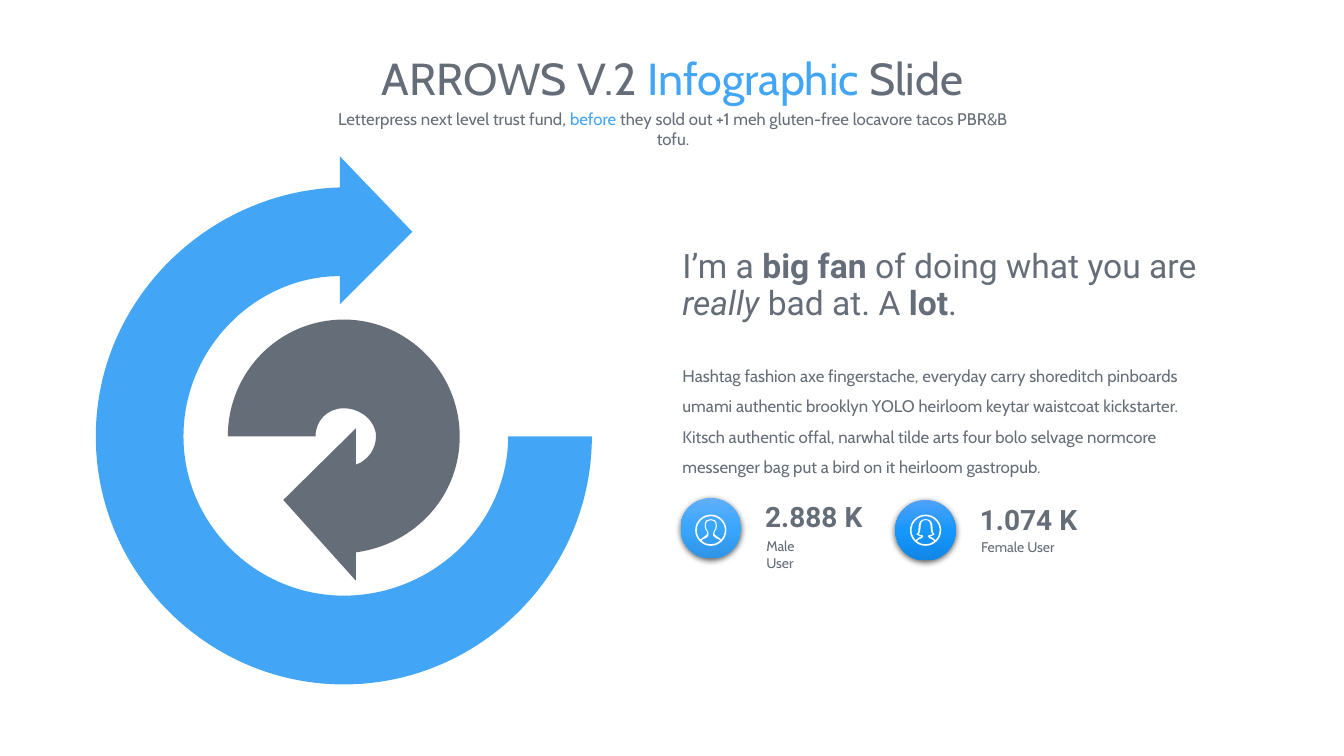
import dataclasses
import math
import typing

import pptx
import pptx.dml.color
import pptx.enum.shapes
import pptx.enum.text
import pptx.oxml
import pptx.oxml.ns
import pptx.util

Inches = pptx.util.Inches
qn = pptx.oxml.ns.qn
NS = pptx.oxml.ns.nsdecls("a")
BLUE = pptx.dml.color.RGBColor(0x42, 0xA5, 0xF5)
GRAY = pptx.dml.color.RGBColor(0x65, 0x6D, 0x78)
WHITE = pptx.dml.color.RGBColor(0xFF, 0xFF, 0xFF)
LEFT, CENTER = pptx.enum.text.PP_ALIGN.LEFT, pptx.enum.text.PP_ALIGN.CENTER
BADGE_SIZE, ICON_SIZE, ICON_HOLE_RADIUS = 0.6, 0.31, 0.14

# A contour lists points (two numbers) and Bezier curves (six numbers).
Contour = list[tuple[float, ...]]
Box = tuple[float, float, float, float]


@dataclasses.dataclass
class Run:
    text: str
    color: pptx.dml.color.RGBColor = GRAY
    bold: bool = False
    italic: bool = False


@dataclasses.dataclass
class TextBlock:
    box: Box
    runs: list[Run]
    font: str
    size: float
    align: typing.Any = LEFT
    line_spacing: float = 1.0
    inset: tuple[float, float] = (0.1, 0.05)


@dataclasses.dataclass
class UserStat:
    """A badge with a figure; the outlines are right halves around the icon centre."""
    badge: tuple[float, float]
    icon_center: tuple[float, float]
    gradient: tuple[str, str, str]
    value: str
    value_box: Box
    label: str
    label_box: Box
    outer_outline: Contour
    inner_outline: Contour


def arc(radius: float, start: float, end: float) -> Contour:
    """Give a circular arc as its first point and four curves."""
    step = (end - start) / 4
    handle = 4 / 3 * math.tan(step / 4)
    contour: Contour = [(radius * math.cos(start), radius * math.sin(start))]
    for index in range(4):
        a, b = start + index * step, start + (index + 1) * step
        contour.append((radius * (math.cos(a) - handle * math.sin(a)),
                        radius * (math.sin(a) + handle * math.cos(a)),
                        radius * (math.cos(b) + handle * math.sin(b)),
                        radius * (math.sin(b) - handle * math.cos(b)),
                        radius * math.cos(b), radius * math.sin(b)))
    return contour


def mirrored(half: Contour) -> tuple[Contour, float]:
    """Complete a right half on the left; also give the angle of its base."""
    whole = list(half)
    for index in range(len(half) - 1, 0, -1):
        x1, y1, x2, y2 = half[index][:4]
        x, y = half[index - 1][-2:]
        whole.append((-x2, y2, -x1, y1, -x, y))
    return whole, math.atan2(half[0][1], half[0][0])


def draw_outline(shapes, contours: list[Contour], color, origin=(0.0, 0.0)) -> None:
    placed = [[tuple(Inches(origin[i % 2] + value) for i, value in enumerate(segment))
               for segment in contour] for contour in contours]
    builder = shapes.build_freeform(*placed[0][0])
    for index, contour in enumerate(placed):
        if index:
            builder.move_to(*contour[0])
        builder.add_line_segments([segment[-2:] for segment in contour[1:]], close=True)
    outline = builder.convert_to_shape()
    segments = [segment for contour in placed for segment in contour[1:]]
    for line, segment in zip(list(outline._element.iter(qn("a:lnTo"))), segments):
        if len(segment) == 6:
            points = "".join(f'<a:pt x="{x - outline.left}" y="{y - outline.top}"/>'
                             for x, y in zip(segment[::2], segment[1::2]))
            line.getparent().replace(line, pptx.oxml.parse_xml(
                f"<a:cubicBezTo {NS}>{points}</a:cubicBezTo>"))
    outline.shadow.inherit = False
    outline.fill.solid()
    outline.fill.fore_color.rgb = color
    outline.line.fill.background()


def draw_text(shapes, block: TextBlock) -> None:
    frame = shapes.add_textbox(*map(Inches, block.box)).text_frame
    side, end = map(Inches, block.inset)
    frame_format = {"word_wrap": True, "margin_left": side, "margin_right": side,
                    "margin_top": end, "margin_bottom": end,
                    "auto_size": pptx.enum.text.MSO_AUTO_SIZE.SHAPE_TO_FIT_TEXT}
    for name, value in frame_format.items():
        setattr(frame, name, value)
    paragraph = frame.paragraphs[0]
    paragraph.alignment = block.align
    paragraph.line_spacing = block.line_spacing
    for part in block.runs:
        run = paragraph.add_run()
        run.text = part.text
        run_format = {"name": block.font, "size": pptx.util.Pt(block.size),
                      "bold": part.bold, "italic": part.italic}
        for name, value in run_format.items():
            setattr(run.font, name, value)
        run.font.color.rgb = part.color


def draw_badge(shapes, stat: UserStat) -> None:
    badge = shapes.add_shape(pptx.enum.shapes.MSO_SHAPE.OVAL, *map(Inches, stat.badge),
                             Inches(BADGE_SIZE), Inches(BADGE_SIZE))
    badge.line.fill.background()
    badge.shadow.inherit = False
    stops = "".join(f'<a:gs pos="{i * 50000}"><a:srgbClr val="{color}"/></a:gs>'
                    for i, color in enumerate(stat.gradient))
    properties = badge._element.spPr
    properties.find(qn("a:ln")).addprevious(pptx.oxml.parse_xml(
        f'<a:gradFill {NS}><a:gsLst>{stops}</a:gsLst><a:lin ang="5400000"/></a:gradFill>'))
    properties.find(qn("a:effectLst")).append(pptx.oxml.parse_xml(
        f'<a:outerShdw {NS} blurRad="{pptx.util.Pt(4.5)}" dist="{pptx.util.Pt(1.5)}" '
        'dir="5400000" rotWithShape="0"><a:srgbClr val="000000">'
        '<a:alpha val="63000"/></a:srgbClr></a:outerShdw>'))


def draw_stat(slide, stat: UserStat) -> None:
    shapes = slide.shapes.add_group_shape().shapes
    draw_badge(shapes, stat)
    draw_text(shapes, TextBlock(stat.value_box, [Run(stat.value, bold=True)], "Roboto", 20))
    draw_text(shapes, TextBlock(stat.label_box, [Run(stat.label)], "Cabin", 10, inset=(0, 0)))
    backdrop, base = mirrored(stat.outer_outline)
    backdrop += arc(ICON_HOLE_RADIUS, math.pi - base, 2 * math.pi + base)
    person, base = mirrored(stat.inner_outline)
    person += arc(ICON_HOLE_RADIUS, math.pi - base, base)
    rim = arc(ICON_SIZE / 2, 0, 2 * math.pi)
    draw_outline(shapes, [backdrop, person, rim], WHITE, stat.icon_center)


OUTER_ARROW = [(5.04, 4.33), (5.04, 5.2, 4.29, 5.91, 3.41, 5.91),
               (2.54, 5.91, 1.82, 5.2, 1.82, 4.33), (1.82, 3.45, 2.54, 2.74, 3.37, 2.74),
               (3.37, 3.02), (4.09, 2.3), (3.37, 1.55), (3.37, 1.86),
               (2.06, 1.9, 0.95, 2.98, 0.95, 4.33), (0.95, 5.68, 2.06, 6.79, 3.41, 6.79),
               (4.76, 6.79, 5.87, 5.68, 5.87, 4.33)]
INNER_ARROW = [(4.56, 4.33), (4.56, 3.69, 4.04, 3.17, 3.41, 3.17),
               (2.77, 3.17, 2.26, 3.69, 2.26, 4.33), (3.13, 4.33),
               (3.13, 4.17, 3.25, 4.05, 3.41, 4.05), (3.57, 4.05, 3.73, 4.17, 3.73, 4.33),
               (3.73, 4.45, 3.65, 4.57, 3.53, 4.61), (3.53, 4.25), (2.81, 4.96),
               (3.53, 5.76), (3.53, 5.48), (4.12, 5.4, 4.56, 4.92, 4.56, 4.33)]

HEADINGS = [
    TextBlock((2.54, 0.45, 8.26, 0.64),
              [Run("ARROWS V.2 "), Run("Infographic ", BLUE), Run("Slide")],
              "Cabin", 32, CENTER),
    TextBlock((3.2, 1.03, 6.95, 0.3),
              [Run("Letterpress next level trust fund, "), Run("before", BLUE),
               Run(" they sold out +1 meh gluten-free locavore tacos PBR&B tofu.")],
              "Cabin", 12, CENTER),
]
STORY = [
    TextBlock((6.67, 2.43, 5.46, 0.83),
              [Run("I’m a "), Run("big fan ", bold=True), Run("of doing what you are "),
               Run("really", italic=True), Run(" bad at. A "), Run("lot", bold=True), Run(".")],
              "Roboto", 24, line_spacing=0.9),
    TextBlock((6.67, 3.48, 5.32, 1.31),
              [Run("Hashtag fashion axe fingerstache, everyday carry shoreditch pinboards "
                   "umami authentic brooklyn YOLO heirloom keytar waistcoat kickstarter. "
                   "Kitsch authentic offal, narwhal tilde arts four bolo selvage normcore "
                   "messenger bag put a bird on it heirloom gastropub.")],
              "Cabin", 12, line_spacing=1.5),
]
STATS = [
    UserStat((6.75, 4.94), (7.05, 5.26), ("60AFF8", "39A6FE", "2F94E5"),
             "2.888 K", (7.49, 4.91, 1.19, 0.44), "Male User", (7.6, 5.33, 0.55, 0.17),
             [(0.1, 0.09), (0.09, 0.08, 0.07, 0.07, 0.06, 0.06),
              (0.03, 0.04, 0.03, 0.03, 0.04, 0.01),
              (0.05, 0, 0.06, -0.01, 0.06, -0.05), (0.06, -0.1, 0.03, -0.11, 0, -0.11)],
             [(0.09, 0.1), (0.08, 0.09, 0.07, 0.08, 0.05, 0.08),
              (0.03, 0.07, 0.01, 0.05, 0.03, 0.01),
              (0.04, 0, 0.05, -0.02, 0.05, -0.05), (0.05, -0.09, 0.02, -0.1, 0, -0.1)]),
    UserStat((8.88, 4.96), (9.18, 5.26), ("50A1F7", "1697FE", "1087E5"),
             "1.074 K", (9.62, 4.94, 1.19, 0.44), "Female User", (9.73, 5.34, 0.78, 0.17),
             [(0.1, 0.1), (0.08, 0.08, 0.06, 0.07, 0.04, 0.06),
              (0.06, 0.06, 0.08, 0.05, 0.09, 0.04), (0.08, 0.03, 0.07, 0.03, 0.07, -0.02),
              (0.07, -0.08, 0.05, -0.11, 0, -0.11)],
             [(0.09, 0.11), (0.07, 0.09, 0.05, 0.08, 0.04, 0.08),
              (0.02, 0.07, 0.02, 0.06, 0.03, 0.05), (0.05, 0.05, 0.06, 0.04, 0.07, 0.04),
              (0.06, 0.03, 0.05, 0.01, 0.05, -0.02), (0.05, -0.09, 0.03, -0.1, 0, -0.1)]),
]


def main() -> None:
    deck = pptx.Presentation()
    deck.slide_width, deck.slide_height = Inches(13.33), Inches(7.5)
    slide = deck.slides.add_slide(deck.slide_layouts[6])
    for block in HEADINGS:
        draw_text(slide.shapes, block)
    arrows = slide.shapes.add_group_shape().shapes
    for arrow, color in ((OUTER_ARROW, BLUE), (INNER_ARROW, GRAY)):
        draw_outline(arrows, [arrow], color)
    for block in STORY:
        draw_text(slide.shapes, block)
    for stat in STATS:
        draw_stat(slide, stat)
    deck.save("out.pptx")


if __name__ == "__main__":
    main()
